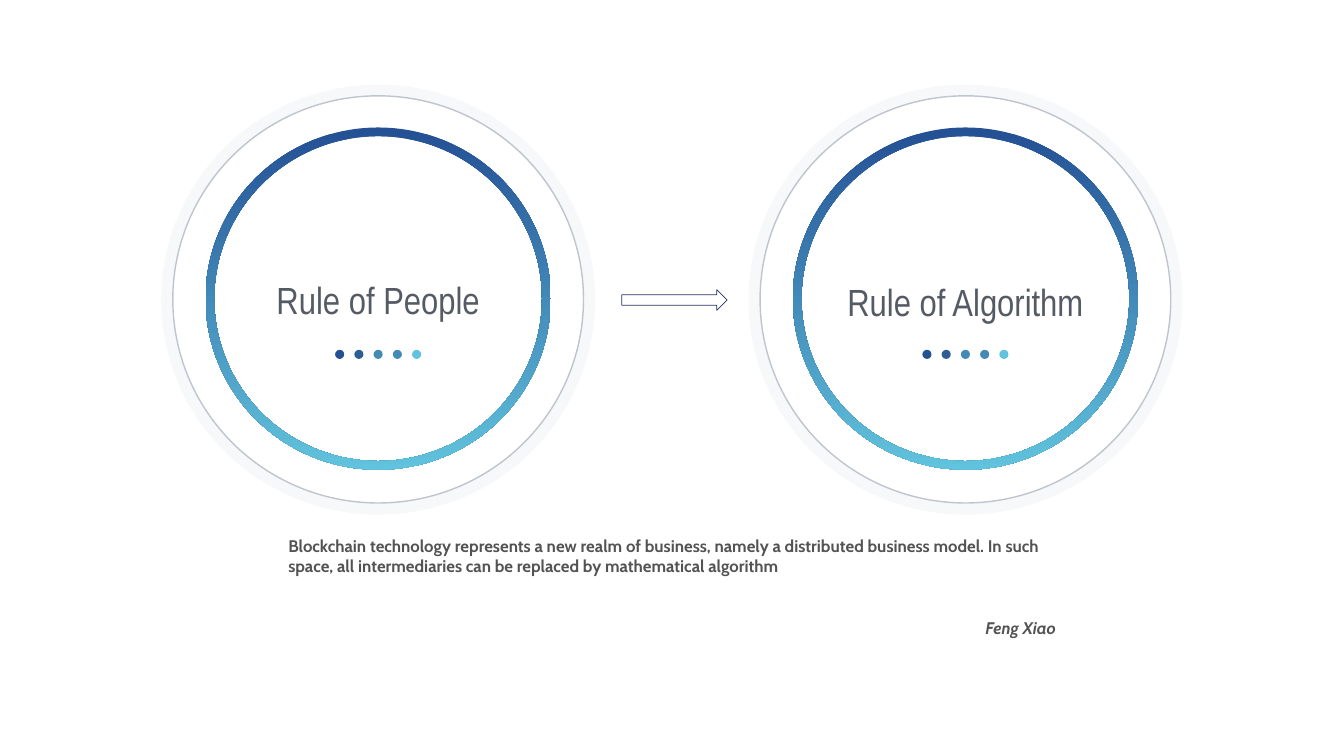
from dataclasses import dataclass

from lxml.etree import SubElement
from pptx import Presentation
from pptx.dml.color import RGBColor
from pptx.enum.shapes import MSO_SHAPE as Preset
from pptx.enum.text import MSO_ANCHOR as Anchor, PP_ALIGN as Align
from pptx.oxml.ns import qn
from pptx.util import Cm, Pt


@dataclass(frozen=True)
class Theme:
    halo: str = "EFF0F4"
    halo_opacity: int = 45
    ring_top: str = "245094"
    ring_bottom: str = "61C3DD"
    outline: str = "BFC5CE"
    dots: tuple = ("245094", "2D5E93", "438AB6", "438AB6", "61C3DD")
    arrow_fill: str = "FFFFFF"
    arrow_line: str = "273262"
    label: str = "555B64"
    quote: str = "535353"
    label_font: str = "Arial Narrow"
    quote_font: str = "Cabin"
    label_size: int = 54
    quote_size: int = 24
    quote_gap: int = 59


THEME = Theme()

# Label and the height of its centre, in cm
RULES = [("Rule of People", 15.09), ("Rule of Algorithm", 15.21)]
QUOTE = (
    "Blockchain technology represents a new realm of business, namely a distributed "
    "business model. In such space, all intermediaries can be replaced by "
    "mathematical algorithm"
)
AUTHOR = "Feng Xiao"

# Layout in cm
SLIDE_SIZE = (67.74, 38.1)
FIRST_CENTRE, CIRCLE_PITCH = 19.06, 29.6
HALO_SIZE, HALO_THICKNESS = (21.87, 21.67), 0.55
RING_SIZE, RING_THICKNESS = (17.4, 17.25), 0.44
OUTLINE_SIZE = (20.7, 20.52)
LABEL_SIZE = (16.03, 3.3)
HALO_Y, RING_Y, OUTLINE_Y, DOT_Y = 15.1, 15.05, 15.09, 17.86
DOT_SIZE, DOT_PITCH = 0.46, 0.97
ARROW_BOX = (31.34, 14.6, 5.31, 1.04)
QUOTE_BOX = (14.38, 26.85, 38.99, 5.84)
INSET = 0.15


def color(value):
    return RGBColor.from_string(value)


def centred(x, y, width, height):
    """Return left, top, width, height of a box centred on x, y."""
    return x - width / 2, y - height / 2, width, height


def add_preset(slide, preset, box, fill=None, line=None, line_width=1):
    shape = slide.shapes.add_shape(preset, *map(Cm, box))
    shape.shadow.inherit = False
    if fill:
        shape.fill.solid()
        shape.fill.fore_color.rgb = color(fill)
    else:
        shape.fill.background()
    if line:
        shape.line.color.rgb = color(line)
        shape.line.width = Pt(line_width)
    else:
        shape.line.fill.background()
    return shape


def add_ring(slide, box, thickness, fill=None):
    ring = add_preset(slide, Preset.DONUT, box, fill)
    ring.adjustments[0] = thickness / min(box[2:])
    return ring


def add_text(slide, box, lines, font, size, text_color, anchor=Anchor.TOP):
    """Add a text box of (text, alignment) lines and return its paragraphs."""
    frame = slide.shapes.add_textbox(*map(Cm, box)).text_frame
    frame.word_wrap = True
    frame.vertical_anchor = anchor
    frame.margin_left = frame.margin_right = Cm(INSET)
    frame.margin_top = frame.margin_bottom = Cm(INSET)
    for index, (text, alignment) in enumerate(lines):
        paragraph = frame.add_paragraph() if index else frame.paragraphs[0]
        paragraph.text = text
        paragraph.alignment = alignment
        paragraph.font.name = font
        paragraph.font.size = Pt(size)
        paragraph.font.color.rgb = color(text_color)
    return frame.paragraphs


def add_rule_circle(slide, x, label, label_y):
    halo = add_ring(slide, centred(x, HALO_Y, *HALO_SIZE), HALO_THICKNESS, THEME.halo)
    halo_color = halo.fill._xPr.find(".//" + qn("a:srgbClr"))
    SubElement(halo_color, qn("a:alpha"), val=str(THEME.halo_opacity * 1000))

    ring = add_ring(slide, centred(x, RING_Y, *RING_SIZE), RING_THICKNESS)
    ring.fill.gradient()
    ring.fill.gradient_angle = 270
    for stop, value in zip(ring.fill.gradient_stops, (THEME.ring_top, THEME.ring_bottom)):
        stop.color.rgb = color(value)

    add_text(slide, centred(x, label_y, *LABEL_SIZE), [(label, Align.CENTER)],
             THEME.label_font, THEME.label_size, THEME.label, Anchor.MIDDLE)
    add_preset(slide, Preset.OVAL, centred(x, OUTLINE_Y, *OUTLINE_SIZE),
               line=THEME.outline, line_width=2)

    middle = (len(THEME.dots) - 1) / 2
    for index, dot_color in enumerate(THEME.dots):
        dot_x = x + (index - middle) * DOT_PITCH
        add_preset(slide, Preset.OVAL, centred(dot_x, DOT_Y, DOT_SIZE, DOT_SIZE), dot_color)


def add_quote(slide):
    quote, author = add_text(slide, QUOTE_BOX, [(QUOTE, Align.LEFT), (AUTHOR, Align.RIGHT)],
                             THEME.quote_font, THEME.quote_size, THEME.quote)
    quote.font.bold = author.font.bold = True
    author.font.italic = True
    author.space_before = Pt(THEME.quote_gap)


def main():
    presentation = Presentation()
    presentation.slide_width, presentation.slide_height = map(Cm, SLIDE_SIZE)
    slide = presentation.slides.add_slide(presentation.slide_layouts[6])
    add_quote(slide)
    for index, (label, label_y) in enumerate(RULES):
        add_rule_circle(slide, FIRST_CENTRE + index * CIRCLE_PITCH, label, label_y)
    add_preset(slide, Preset.RIGHT_ARROW, ARROW_BOX, THEME.arrow_fill, THEME.arrow_line)
    presentation.save("out.pptx")


if __name__ == "__main__":
    main()
